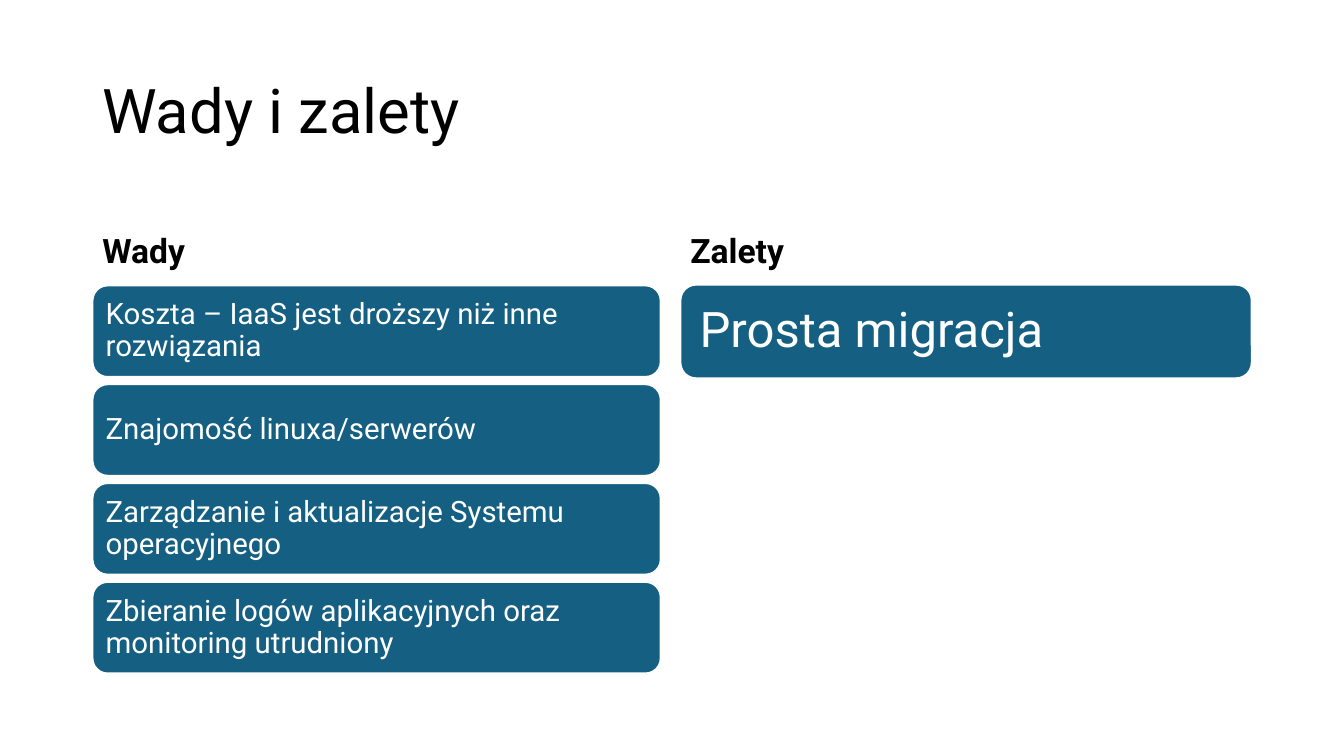
from dataclasses import dataclass

from pptx import Presentation
from pptx.dml.color import RGBColor
from pptx.enum.shapes import MSO_SHAPE
from pptx.enum.text import MSO_ANCHOR, PP_ALIGN
from pptx.util import Pt

ROUNDED = MSO_SHAPE.ROUNDED_RECTANGLE
MIDDLE, BOTTOM = MSO_ANCHOR.MIDDLE, MSO_ANCHOR.BOTTOM
LEFT = PP_ALIGN.LEFT


@dataclass(frozen=True)
class Theme:
    """Colours, font and type sizes of the slide."""
    font: str = "Roboto"
    ink: str = "000000"
    paper: str = "FFFFFF"
    card: str = "156082"
    title: float = 44
    heading: float = 24
    item: float = 21
    large_item: float = 35


def write(sp, text, *, font, size, color, bold=False, anchor=MIDDLE, inset=(7.2, 3.6)):
    """Put one formatted paragraph into a shape."""
    tf = sp.text_frame
    tf.word_wrap = True
    tf.vertical_anchor = anchor
    tf.margin_left = tf.margin_right = Pt(inset[0])
    tf.margin_top = tf.margin_bottom = Pt(inset[1])
    p = tf.paragraphs[0]
    p.alignment = LEFT
    p.line_spacing = 0.9
    r = p.add_run()
    r.text = text
    r.font.name = font
    r.font.size = Pt(size)
    r.font.bold = bold
    r.font.color.rgb = RGBColor.from_string(color)


class Builder:
    """Draws the elements of one slide in a theme."""

    def __init__(self, slide, theme):
        self.s = slide
        self.theme = theme

    def label(self, box, text, size, **fmt):
        """Add a plain text box."""
        sp = self.s.shapes.add_textbox(*map(Pt, box))
        write(sp, text, font=self.theme.font, size=size, color=self.theme.ink, **fmt)

    def card(self, box, text, size, inset):
        """Add a filled rounded card with text."""
        sp = self.s.shapes.add_shape(ROUNDED, *map(Pt, box))
        sp.shadow.inherit = False
        sp.fill.solid()
        sp.fill.fore_color.rgb = RGBColor.from_string(self.theme.card)
        sp.line.color.rgb = RGBColor.from_string(self.theme.paper)
        sp.line.width = Pt(1.5)
        write(sp, text, font=self.theme.font, size=size, color=self.theme.paper,
              inset=(inset, inset))

    def column(self, left, width, heading, items, *, top, height, pitch, size, inset):
        """Add a heading and its evenly spaced cards."""
        self.label((left, 132.5, width, 64.8), heading, self.theme.heading,
                   bold=True, anchor=BOTTOM)
        for i, item in enumerate(items):
            self.card((left, top + i * pitch, width, height), item, size, inset)


def main():
    """Build and save the slide."""
    prs = Presentation()
    prs.slide_width, prs.slide_height = Pt(960), Pt(540)
    theme = Theme()
    b = Builder(prs.slides.add_slide(prs.slide_layouts[6]), theme)
    b.label((66, 28.8, 828, 104.4), "Wady i zalety", theme.title)
    b.column(66, 406, "Wady", [
        "Koszta – IaaS jest droższy niż inne rozwiązania",
        "Znajomość linuxa/serwerów",
        "Zarządzanie i aktualizacje Systemu operacyjnego",
        "Zbieranie logów aplikacyjnych oraz monitoring utrudniony",
    ], top=203.8, height=65.5, pitch=70.6, size=theme.item, inset=6.3)
    b.column(486, 408.2, "Zalety", ["Prosta migracja"],
             top=203.3, height=67, pitch=0, size=theme.large_item, inset=10.5)
    prs.save("out.pptx")


if __name__ == "__main__":
    main()
